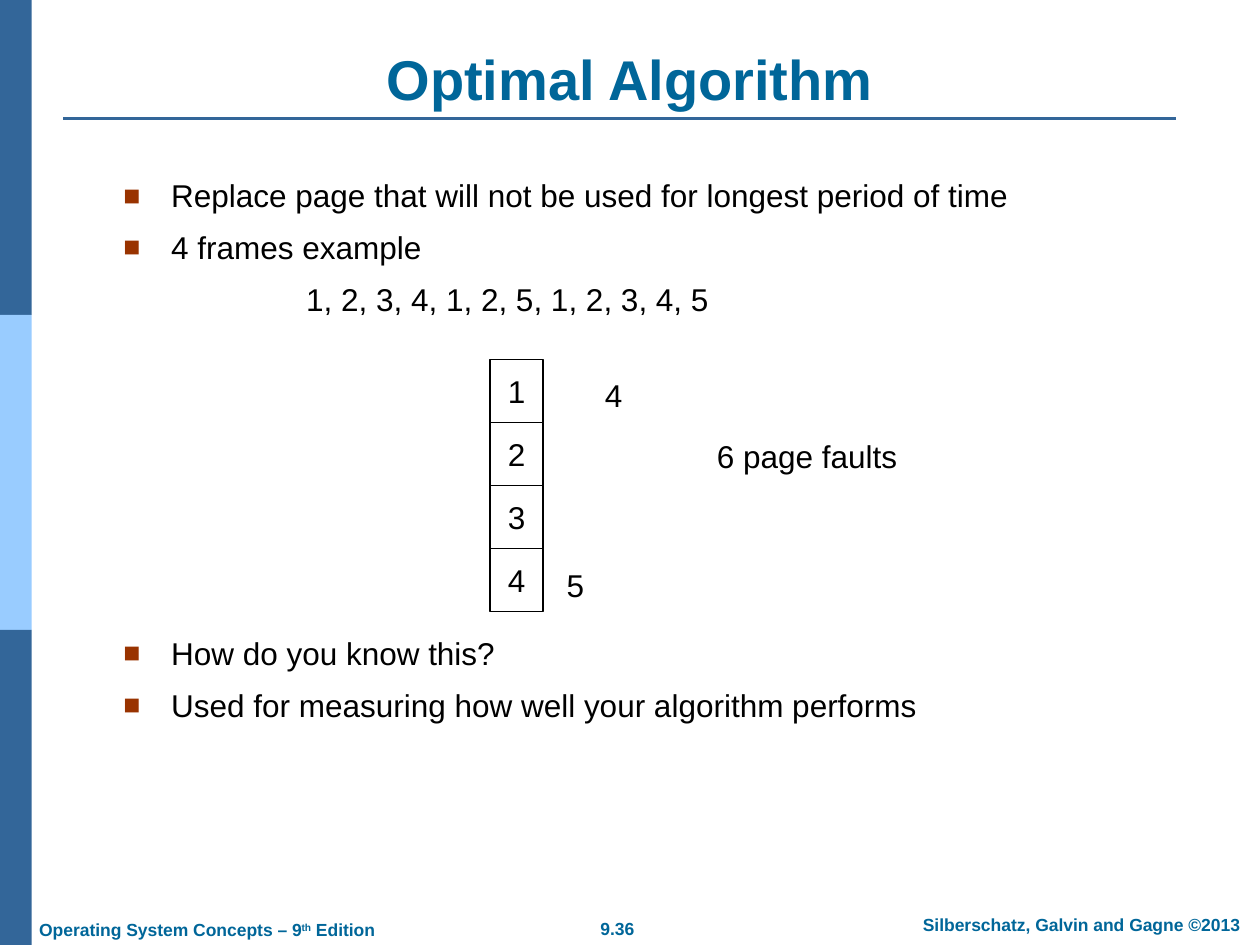
from lxml import etree
from pptx import Presentation
from pptx.dml.color import RGBColor
from pptx.enum.shapes import MSO_CONNECTOR, MSO_SHAPE
from pptx.enum.text import MSO_ANCHOR, PP_ALIGN
from pptx.oxml.ns import qn
from pptx.util import Cm, Pt

RECT = MSO_SHAPE.RECTANGLE
STRAIGHT = MSO_CONNECTOR.STRAIGHT
LEFT, CENTER = PP_ALIGN.LEFT, PP_ALIGN.CENTER
TOP, MIDDLE, BOTTOM = MSO_ANCHOR.TOP, MSO_ANCHOR.MIDDLE, MSO_ANCHOR.BOTTOM

BLACK = RGBColor(0x00, 0x00, 0x00)
WHITE = RGBColor(0xFF, 0xFF, 0xFF)
STEEL = RGBColor(0x33, 0x66, 0x99)
SKY = RGBColor(0x99, 0xCC, 0xFF)
TEAL = RGBColor(0x00, 0x66, 0x99)
RUST = "993300"
FONT = "Arial"
BULLET_INDENT = Cm(0.96)
BODY_GAP = Pt(7.9)
FIGURE_GAP = Pt(181)


def style(font, size, color=BLACK, bold=False):
    """Set typeface, size, colour and weight of a font."""
    font.name = FONT
    font.size = Pt(size)
    font.color.rgb = color
    font.bold = bold


def add_rect(s, x, y, w, h, fill):
    """Add a plain filled rectangle without outline."""
    sp = s.shapes.add_shape(RECT, Cm(x), Cm(y), Cm(w), Cm(h))
    sp.shadow.inherit = False
    sp.fill.solid()
    sp.fill.fore_color.rgb = fill
    sp.line.fill.background()
    return sp


def add_rule(s, x1, x2, y):
    """Add the horizontal rule below the title."""
    line = s.shapes.add_connector(STRAIGHT, Cm(x1), Cm(y), Cm(x2), Cm(y))
    line.line.color.rgb = STEEL
    line.line.width = Pt(1.5)
    etree.SubElement(line._element.spPr, qn("a:effectLst"))


def add_text(s, box, runs, size, color=BLACK, bold=False, align=CENTER,
             anchor=MIDDLE):
    """Add a one-paragraph text box and return its runs."""
    tf = s.shapes.add_textbox(*map(Cm, box)).text_frame
    tf.word_wrap = True
    tf.vertical_anchor = anchor
    p = tf.paragraphs[0]
    p.alignment = align
    for text in runs:
        r = p.add_run()
        r.text = text
        style(r.font, size, color, bold)
    return p.runs


def add_frame(s, y, number):
    """Add one memory frame holding a page number."""
    sp = add_rect(s, 9.88, y, 1.07, 1.27, WHITE)
    sp.line.color.rgb = BLACK
    sp.line.width = Pt(0.75)
    tf = sp.text_frame
    tf.word_wrap = False
    tf.vertical_anchor = MIDDLE
    tf.text = str(number)
    tf.paragraphs[0].alignment = CENTER
    style(tf.paragraphs[0].runs[0].font, 18)


def add_bullet(p):
    """Give a paragraph a hanging square bullet."""
    pPr = p._p.get_or_add_pPr()
    pPr.set("marL", str(BULLET_INDENT))
    pPr.set("indent", str(-BULLET_INDENT))
    color = etree.SubElement(pPr, qn("a:buClr"))
    etree.SubElement(color, qn("a:srgbClr"), val=RUST)
    etree.SubElement(pPr, qn("a:buSzPct"), val="90000")
    etree.SubElement(pPr, qn("a:buFont"), typeface=FONT)
    etree.SubElement(pPr, qn("a:buChar"), char="■")


def add_body(s):
    """Add the bulleted text with the indented reference string."""
    rows = [
        ("Replace page that will not be used for longest period of time", True, None),
        ("4 frames example", True, BODY_GAP),
        ("1, 2, 3, 4, 1, 2, 5, 1, 2, 3, 4, 5", False, BODY_GAP),
        ("How do you know this?", True, FIGURE_GAP),
        ("Used for measuring how well your algorithm performs", True, BODY_GAP),
    ]
    tf = s.shapes.add_textbox(Cm(2.24), Cm(3.43), Cm(22.86), Cm(12.6)).text_frame
    tf.word_wrap = True
    tf.text = "\n".join(text for text, _, _ in rows)
    for p, (_, bulleted, gap) in zip(tf.paragraphs, rows):
        if bulleted:
            add_bullet(p)
        else:
            p._p.get_or_add_pPr().set("marL", str(Cm(3.68)))
        p.space_before = gap
        style(p.runs[0].font, 18)


def add_footer(s):
    """Add the page number, copyright line and book edition."""
    add_text(s, (11.2, 18.38, 2.49, 0.67), ["9.36"], 10, TEAL, True, anchor=TOP)
    add_text(s, (18.03, 18.3, 7.54, 0.69), ["Silberschatz, Galvin and Gagne ©2013"],
             10, TEAL, True, anchor=TOP)
    edition = add_text(s, (0.54, 18.4, 8.5, 0.65),
                       ["Operating System Concepts – 9", "th", " Edition"],
                       10, TEAL, True, LEFT, TOP)
    edition[1].font._element.set("baseline", "30000")


def main():
    """Build the slide and save it."""
    prs = Presentation()
    prs.slide_width, prs.slide_height = Cm(25.4), Cm(19.05)
    s = prs.slides.add_slide(prs.slide_layouts[6])
    for i, color in enumerate((STEEL, SKY, STEEL)):
        add_rect(s, 0, i * 6.35, 0.64, 6.35, color)
    add_rule(s, 1.27, 23.7, 2.39)
    add_footer(s)
    add_text(s, (1.27, 0.77, 22.86, 1.6), ["Optimal Algorithm"], 32, TEAL, True,
             anchor=BOTTOM)
    add_body(s)
    for i in range(4):
        add_frame(s, 7.25 + i * 1.27, i + 1)
    for x, y, w, text in ((11.94, 7.45, 0.86, "4"),
                          (14.2, 8.69, 4.14, "6 page faults"),
                          (11.17, 11.29, 0.86, "5")):
        add_text(s, (x, y, w, 1.02), [text], 18)
    prs.save("out.pptx")


if __name__ == "__main__":
    main()
